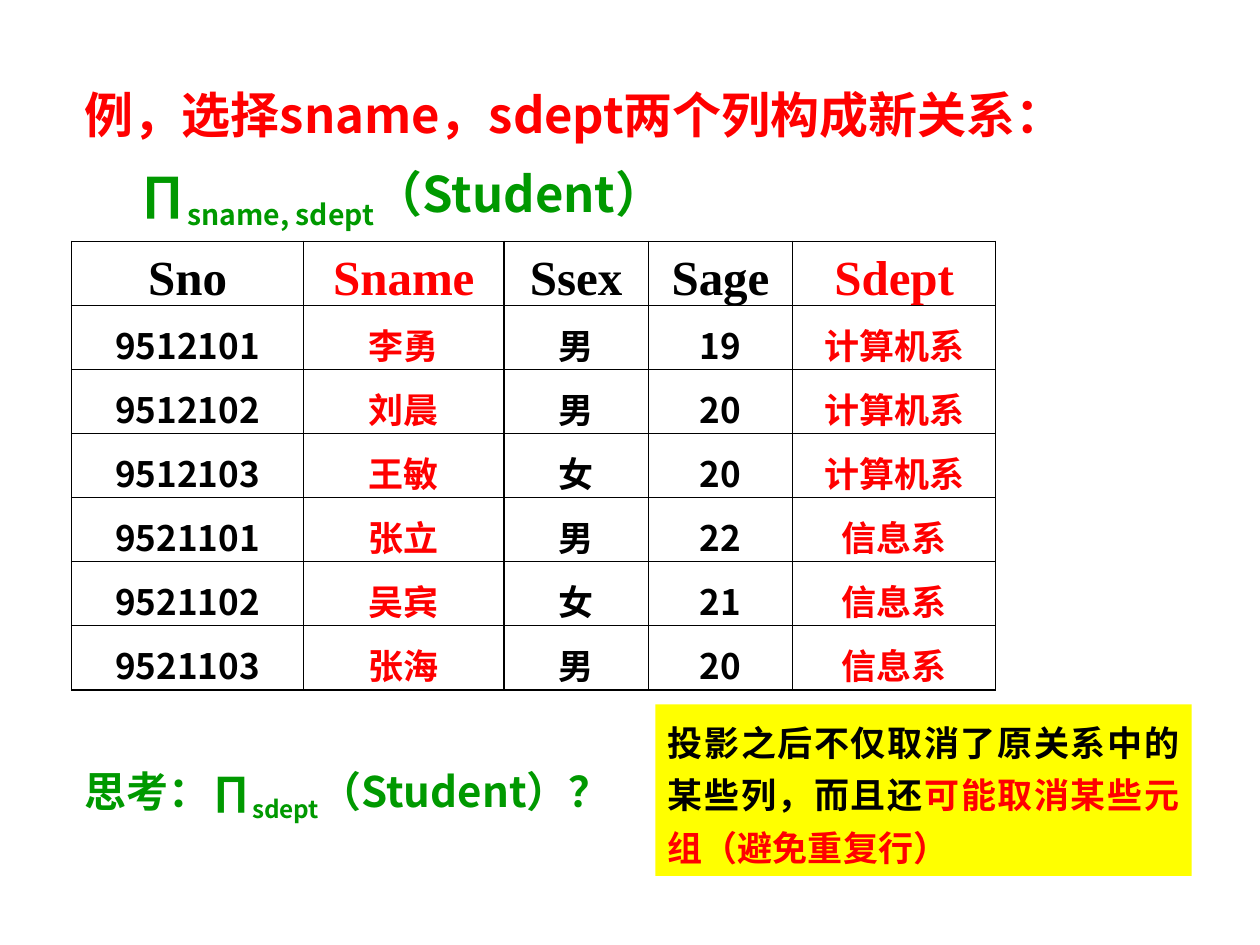
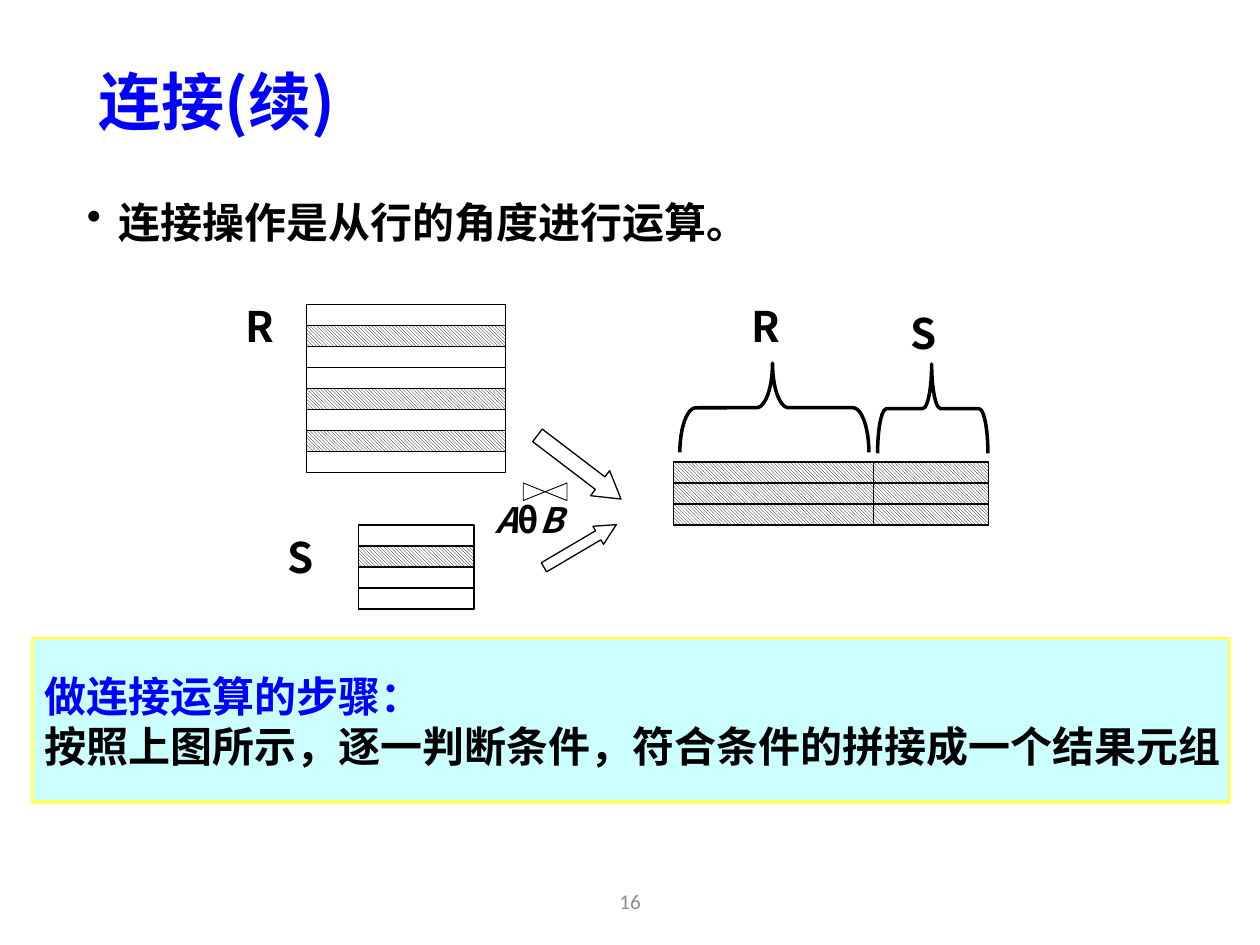
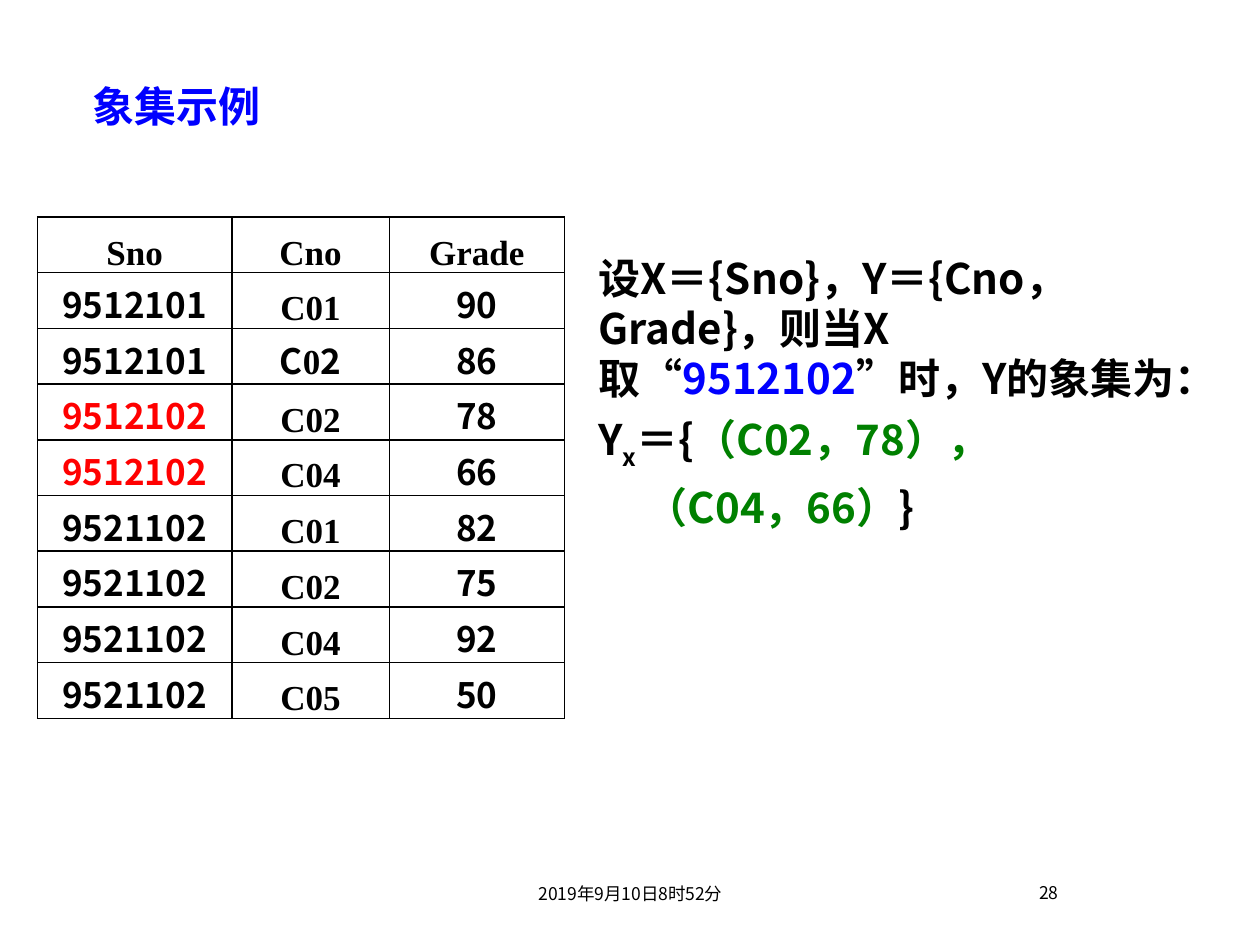
import pptx
import pptx.util
import pptx.dml.color
import pptx.enum.dml
import pptx.enum.shapes
import pptx.enum.text
import pptx.oxml
import pptx.oxml.ns

Pt = pptx.util.Pt
RGB = pptx.dml.color.RGBColor
KIND = pptx.enum.shapes.MSO_SHAPE
ALIGN = pptx.enum.text.PP_ALIGN
ANCHOR = pptx.enum.text.MSO_ANCHOR
HATCH = pptx.enum.dml.MSO_PATTERN.LIGHT_DOWNWARD_DIAGONAL

BLACK = RGB(0x00, 0x00, 0x00)
WHITE = RGB(0xFF, 0xFF, 0xFF)
RED = RGB(0xFF, 0x00, 0x00)
BLUE = RGB(0x00, 0x00, 0xFF)
GREEN = RGB(0x00, 0x99, 0x00)
FOREST = RGB(0x00, 0x80, 0x00)
GREY = RGB(0x8C, 0x8C, 0x8C)
YELLOW = RGB(0xFF, 0xFF, 0x00)
LEMON = RGB(0xFF, 0xFF, 0x66)
CYAN = RGB(0xCC, 0xFF, 0xFF)
SANS, SERIF = "Noto Sans CJK SC", "Times New Roman"
PLAIN = "Noto Sans CJK KR"

# A paragraph is a string, or (runs, format); a run is (text, format).
SUB = {"base": -25000}
GAP = {"before": 12, "after": 6}
QUERY = [
    ("例，选择sname，sdept两个列构成新关系：", {"color": RED}),
    ([("∏", {}), ("sname, sdept", SUB), ("（Student）", {})], {"indent": 31, **GAP}),
]
THINK = [([("思考：∏", {}), ("sdept", SUB), ("（Student）？", {})], GAP)]
NOTE = [([("投影之后不仅取消了原关系中的某些列，而且还", {}),
          ("可能取消某些元组（避免重复行）", {"color": RED})], {})]
STUDENTS = [
    ["Sno", "Sname", "Ssex", "Sage", "Sdept"],
    ["9512101", "李勇", "男", "19", "计算机系"],
    ["9512102", "刘晨", "男", "20", "计算机系"],
    ["9512103", "王敏", "女", "20", "计算机系"],
    ["9521101", "张立", "男", "22", "信息系"],
    ["9521102", "吴宾", "女", "21", "信息系"],
    ["9521103", "张海", "男", "20", "信息系"],
]
KEPT = {"Sname", "Sdept"}

STEPS = [
    ("做连接运算的步骤：", {"color": BLUE}),
    "按照上图所示，逐一判断条件，符合条件的拼接成一个结果元组",
]
THETA = [([(" A", {"italic": True}), ("θ", {}), ("B", {"italic": True})], {})]
# left, top, width, row count, hatched rows
STACKS = [
    (175, 174, 114, 8, {1, 4, 6}),
    (205, 300, 66, 4, {1}),
    (385, 264, 114, 3, {0, 1, 2}),
    (499, 264, 66, 3, {0, 1, 2}),
]
LABELS = [("R", 133, 168), ("S", 157, 300), ("R", 422.5, 168), ("S", 513.5, 172)]
# kind, box, turn, adjustments, line width
SIGNS = [
    (KIND.RIGHT_ARROW, (301, 258, 60, 18), 37.3, (0.5, 0.83), 0.75),
    (KIND.RIGHT_ARROW, (307.5, 306, 48, 12), 329.5, (0.5, 1), 0.75),
    (KIND.FLOWCHART_COLLATE, (306.5, 268.5, 10, 25), 90, (), 0.5),
]
BRACES = [
    (KIND.LEFT_BRACE, (417, 179, 51, 108), 90, (0.18, 0.51), 2),
    (KIND.LEFT_BRACE, (507.5, 202, 51, 63), 90, (0.1, 0.51), 2),
]

MIXED = [([("C", {"face": SANS}), ("0", {}), ("2", {"face": SANS})], {})]
GRADES = [
    ["Sno", "Cno", "Grade"],
    ["9512101", "C01", "90"],
    ["9512101", MIXED, "86"],
    ["9512102", "C02", "78"],
    ["9512102", "C04", "66"],
    ["9521102", "C01", "82"],
    ["9521102", "C02", "75"],
    ["9521102", "C04", "92"],
    ["9521102", "C05", "50"],
]
IMAGE = [
    ([("设X＝{Sno}，Y＝{Cno，Grade}，则当X取“", {}), ("9512102", {"color": BLUE}),
      ("”时，Y的象集为：", {})], {}),
    ([("Y", {}), ("x", SUB), ("＝{", {}), ("（C02，78），", {"color": FOREST})], {}),
    ([("（C04，66）", {"color": FOREST}), ("}", {})], {"indent": 27}),
]


def style(run, size=24, face=SANS, color=BLACK, bold=True, italic=False, base=0):
    font = run.font
    font.size, font.name, font.bold, font.italic = Pt(size), face, bold, italic
    font.color.rgb = color
    props = run._r.get_or_add_rPr()
    if base:
        props.set("baseline", str(base))
    asian = pptx.oxml.ns.qn("a:ea")
    props.find(pptx.oxml.ns.qn("a:latin")).addnext(props.makeelement(asian, {"typeface": face if face == PLAIN else SANS}))


def layout(para, align=ALIGN.LEFT, lead=None, before=0, after=0, indent=0, bullet=None):
    para.alignment, para.line_spacing = align, lead
    para.space_before, para.space_after = Pt(before), Pt(after)
    props = para._p.get_or_add_pPr()
    if indent:
        props.set("indent", str(Pt(indent)))
    if bullet:
        props.set("marL", str(Pt(18)))
        props.set("indent", str(Pt(-18)))
        mark = pptx.oxml.ns.qn("a:buChar")
        props.append(props.makeelement(mark, {"char": bullet}))


FLOW = {"align", "lead", "before", "after", "indent", "bullet"}


def write(frame, text, **form):
    """Fill a text frame; form holds defaults for its paragraphs and runs."""
    paras = [text] if isinstance(text, str) else text
    for i, item in enumerate(paras):
        runs, extra = (item, {}) if isinstance(item, str) else item
        look = {**form, **extra}
        para = frame.add_paragraph() if i else frame.paragraphs[0]
        layout(para, **{k: v for k, v in look.items() if k in FLOW})
        base = {k: v for k, v in look.items() if k not in FLOW}
        for words, own in [(runs, {})] if isinstance(runs, str) else runs:
            run = para.add_run()
            run.text = words
            style(run, **{**base, **own})


def place(box):
    return [Pt(n) for n in box]


def label(slide, box, text, anchor=ANCHOR.TOP, wrap=True, pad=3.6, **form):
    frame = slide.shapes.add_textbox(*place(box)).text_frame
    frame.word_wrap, frame.vertical_anchor = wrap, anchor
    frame.margin_top = frame.margin_bottom = Pt(pad)
    write(frame, text, **form)


def title(slide, box, text, size):
    label(slide, box, text, ANCHOR.MIDDLE, size=size, color=BLUE, lead=0.9)


def shape(slide, kind, box, fill=None, line=BLACK, width=0.75, hatch=False, turn=0, adjust=()):
    item = slide.shapes.add_shape(kind, *place(box))
    item.shadow.inherit = False
    item.rotation = turn
    for i, value in enumerate(adjust):
        item.adjustments[i] = value
    if hatch:
        item.fill.patterned()
        item.fill.pattern = HATCH
        item.fill.fore_color.rgb, item.fill.back_color.rgb = BLACK, WHITE
    elif fill is None:
        item.fill.background()
    else:
        item.fill.solid()
        item.fill.fore_color.rgb = fill
    if line is None:
        item.line.fill.background()
    else:
        item.line.color.rgb, item.line.width = line, Pt(width)
    return item


def panel(slide, box, text, anchor, wrap, fill, line=None, **form):
    frame = shape(slide, KIND.RECTANGLE, box, fill, line, 2).text_frame
    frame.word_wrap, frame.vertical_anchor = wrap, anchor
    write(frame, text, **form)


def border(cell):
    props = cell._tc.get_or_add_tcPr()
    for i, side in enumerate(("lnL", "lnR", "lnT", "lnB")):
        props.insert(i, pptx.oxml.parse_xml(
            f'<a:{side} {pptx.oxml.ns.nsdecls("a")} w="{Pt(1)}"><a:solidFill>'
            f'<a:srgbClr val="{BLACK}"/></a:solidFill></a:{side}>'))


def grid(slide, left, top, widths, height, rows, head, tint):
    """Draw a table; tint(row, column) gives the colour of a cell's text."""
    table = slide.shapes.add_table(len(rows), len(widths), *place(
        (left, top, sum(widths), height * len(rows)))).table
    for column, width in zip(table.columns, widths):
        column.width = Pt(width)
    for r, row in enumerate(rows):
        table.rows[r].height = Pt(height)
        for c, value in enumerate(row):
            cell = table.cell(r, c)
            cell.fill.solid()
            cell.fill.fore_color.rgb = WHITE
            cell.vertical_anchor = ANCHOR.BOTTOM
            cell.margin_left = cell.margin_right = Pt(4.5)
            cell.margin_top = cell.margin_bottom = 0
            digits = isinstance(value, str) and value.isdigit()
            write(cell.text_frame, value, align=ALIGN.CENTER, color=tint(r, c),
                  size=20 if r else head, face=SANS if digits else SERIF)
            border(cell)


def project(slide):
    grid(slide, 41, 138, (132.5, 114.5, 82.5, 82.5, 116), 36.6, STUDENTS, 28,
         lambda r, c: RED if STUDENTS[0][c] in KEPT else BLACK)
    label(slide, (41, 44.5, 613.5, 87), QUERY, size=28, color=GREEN)
    label(slide, (41, 434, 425.5, 36), THINK, color=GREEN)
    panel(slide, (374.5, 402.5, 306.5, 98), NOTE, ANCHOR.TOP, True, YELLOW,
          size=20, align=ALIGN.JUSTIFY, lead=Pt(30))


def join(slide):
    label(slide, (238.5, 500.5, 243, 29), "16", ANCHOR.MIDDLE, size=12, face="Calibri",
          color=GREY, bold=False, align=ALIGN.CENTER)
    title(slide, (49.5, 29, 620.5, 62.5), "连接(续)", 36)
    label(slide, (42.5, 106, 646.5, 278), "连接操作是从行的角度进行运算。",
          align=ALIGN.JUSTIFY, lead=1.1, before=10, bullet="•")
    for left, top, width, count, dark in STACKS:
        for i in range(count):
            shape(slide, KIND.RECTANGLE, (left, top + 12 * i, width, 12), WHITE, hatch=i in dark)
    for signs, fill in ((SIGNS, WHITE), (BRACES, None)):
        for kind, box, turn, adjust, width in signs:
            shape(slide, kind, box, fill, width=width, turn=turn, adjust=adjust)
    label(slide, (271.5, 270, 72, 54), THETA, ANCHOR.MIDDLE, False, size=20)
    for name, left, top in LABELS:
        label(slide, (left, top, 36, 36), name, ANCHOR.MIDDLE, pad=0)
    panel(slide, (18.5, 365, 684, 93.5), STEPS, ANCHOR.MIDDLE, False, CYAN, LEMON)


def image(slide):
    title(slide, (46, 31, 620.5, 62.5), "象集示例", 24)
    foot = {"size": 10, "face": PLAIN, "bold": False}
    label(slide, (274.5, 492, 171.5, 37), "2019年9月10日8时52分", ANCHOR.MIDDLE,
          align=ALIGN.CENTER, **foot)
    label(slide, (499.5, 492, 112.5, 36), "28", ANCHOR.MIDDLE, align=ALIGN.RIGHT, **foot)
    label(slide, (335, 140.5, 343.5, 200), IMAGE, before=6)
    grid(slide, 21.5, 124, (111, 90, 100), 31.86, GRADES, 20,
         lambda r, c: RED if GRADES[r][c] == "9512102" else BLACK)


def main():
    deck = pptx.Presentation()
    deck.slide_width, deck.slide_height = Pt(720), Pt(540)
    for draw in (project, join, image):
        draw(deck.slides.add_slide(deck.slide_layouts[6]))
    deck.save("out.pptx")


if __name__ == "__main__":
    main()
